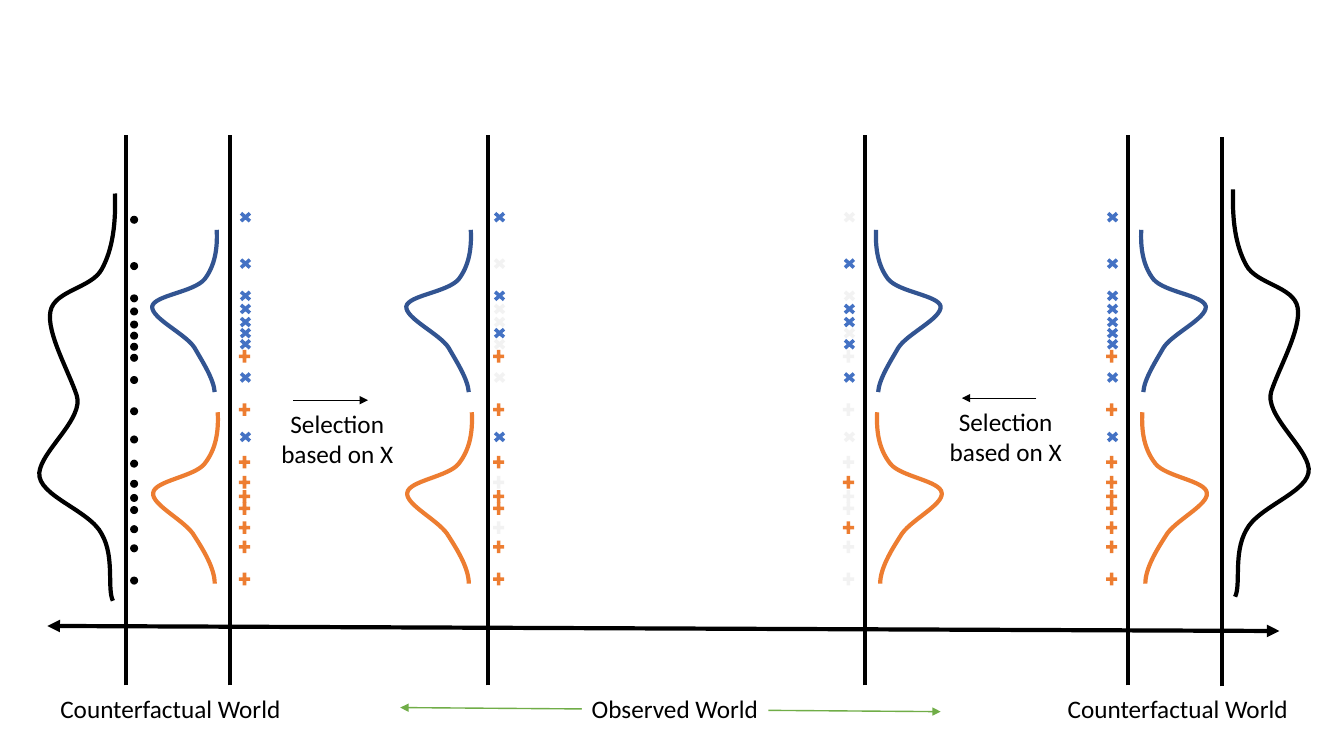
from dataclasses import dataclass

from lxml.etree import SubElement
from pptx import Presentation
from pptx.dml.color import RGBColor
from pptx.enum.shapes import MSO_CONNECTOR, MSO_SHAPE
from pptx.enum.text import MSO_AUTO_SIZE, PP_ALIGN
from pptx.oxml.ns import qn
from pptx.util import Inches, Pt


@dataclass(frozen=True)
class Theme:
    font: str = "Calibri"
    text_size: float = 18
    ink: str = "000000"
    paper: str = "FFFFFF"
    cross: str = "4472C4"
    plus: str = "ED7D31"
    unselected: str = "F2F2F2"
    cross_curve: str = "325491"
    observed: str = "70AD47"
    heavy: float = 3
    medium: float = 1
    thin: float = 0.5


THEME = Theme()

# Cross and plus marks: kind, top, and whether the left-hand selection keeps it.
# The right-hand selection keeps exactly the others.
MARKS = [
    ("cross", 2.54, False), ("cross", 2.99, False), ("cross", 3.12, False),
    ("cross", 3.34, False), ("cross", 3.67, False), ("cross", 4.26, True),
    ("cross", 2.08, True), ("plus", 3.45, True), ("plus", 3.98, True),
    ("plus", 4.5, True), ("plus", 4.7, False), ("plus", 4.84, True),
    ("plus", 5.15, False), ("plus", 5.66, True), ("cross", 2.86, True),
    ("cross", 3.23, True), ("plus", 4.96, True), ("plus", 5.34, True),
]
MARK_STYLES = {
    "cross": (MSO_SHAPE.MATH_MULTIPLY, 0.17, 0.15, THEME.cross),
    "plus": (MSO_SHAPE.MATH_PLUS, 0.15, 0.17, THEME.plus),
}

# Bezier points of each density: distance out from its baseline, drop from its top.
CROSS_DENSITY = [
    (0, 0), (-0.01, 0.19), (0.02, 0.36), (0.12, 0.49), (0.23, 0.62),
    (0.62, 0.65), (0.64, 0.76), (0.65, 0.88), (0.31, 1.03), (0.22, 1.17),
    (0.14, 1.31), (0.03, 1.48), (0.02, 1.61),
]
PLUS_DENSITY = [
    (0, 0), (-0.01, 0.2), (0.02, 0.37), (0.13, 0.51), (0.23, 0.64),
    (0.63, 0.68), (0.64, 0.8), (0.66, 0.92), (0.31, 1.08), (0.23, 1.23),
    (0.14, 1.37), (0.03, 1.55), (0.03, 1.7),
]
WHOLE_DENSITY = [
    (0, 0), (-0.01, 0.29), (0.02, 0.55), (0.13, 0.75), (0.23, 0.94),
    (0.6, 0.96), (0.64, 1.17), (0.68, 1.38), (0.46, 1.76), (0.38, 2),
    (0.3, 2.23), (0.73, 2.55), (0.75, 2.77), (0.77, 3), (0.25, 3.14),
    (0.13, 3.38), (0, 3.61), (0.08, 3.92), (0.02, 4.04),
]


class Diagram:
    def __init__(self, slide, theme):
        self.slide = slide
        self.theme = theme

    def stroke(self, line, color, width):
        line.color.rgb = RGBColor.from_string(color)
        line.width = Pt(width)

    def line(self, start, end, color=THEME.ink, width=THEME.heavy, arrows=()):
        """Draw a straight line; arrows names its headEnd and tailEnd."""
        ends = [Inches(length) for length in (*start, *end)]
        connector = self.slide.shapes.add_connector(MSO_CONNECTOR.STRAIGHT, *ends)
        self.stroke(connector.line, color, width)
        properties = connector.element.spPr
        for arrow in arrows:
            SubElement(properties.find(qn("a:ln")), qn(f"a:{arrow}"), type="triangle")
        SubElement(properties, qn("a:effectLst"))

    def mark(self, preset, left, top, width, height, color):
        shape = self.slide.shapes.add_shape(
            preset, Inches(left), Inches(top), Inches(width), Inches(height))
        shape.shadow.inherit = False
        shape.fill.solid()
        shape.fill.fore_color.rgb = RGBColor.from_string(color)
        shape.line.fill.background()

    def mark_column(self, left, shown=(True, False)):
        """Draw all marks, greying those whose selection flag is not in shown."""
        for kind, top, selected in MARKS:
            preset, width, height, color = MARK_STYLES[kind]
            if selected not in shown:
                color = self.theme.unselected
            self.mark(preset, left, top, width, height, color)

    def density(self, points, baseline, top, direction, color):
        """Draw a Bezier density bulging left (-1) or right (1) of its baseline."""
        start, *rest = [(Inches(baseline + direction * out), Inches(top + drop))
                        for out, drop in points]
        builder = self.slide.shapes.build_freeform(*start)
        builder.add_line_segments(rest, close=False)
        curve = builder.convert_to_shape()
        curve.shadow.inherit = False
        curve.fill.background()
        self.stroke(curve.line, color, self.theme.heavy)
        outline = next(curve.element.iter(qn("a:path")))
        segments = outline.findall(qn("a:lnTo"))
        for first in range(0, len(segments), 3):
            bezier = SubElement(outline, qn("a:cubicBezTo"))
            for segment in segments[first:first + 3]:
                bezier.append(segment[0])
                outline.remove(segment)

    def label(self, text, left, top, width, height, wrap=False,
              align=PP_ALIGN.LEFT, fill=None):
        box = self.slide.shapes.add_textbox(
            Inches(left), Inches(top), Inches(width), Inches(height))
        if fill:
            box.fill.solid()
            box.fill.fore_color.rgb = RGBColor.from_string(fill)
        frame = box.text_frame
        frame.word_wrap = wrap
        frame.auto_size = MSO_AUTO_SIZE.SHAPE_TO_FIT_TEXT
        para = frame.paragraphs[0]
        para.alignment = align
        span = para.add_run()
        span.text = text
        span.font.name = self.theme.font
        span.font.size = Pt(self.theme.text_size)
        span.font.color.rgb = RGBColor.from_string(self.theme.ink)


def main():
    deck = Presentation()
    deck.slide_width, deck.slide_height = Inches(13.33), Inches(7.5)
    page = deck.slides.add_slide(deck.slide_layouts[6])
    diagram = Diagram(page, THEME)
    both_ends = ("headEnd", "tailEnd")

    diagram.line((3.97, 7.02), (9.33, 7.06), color=THEME.observed,
                 width=THEME.medium, arrows=both_ends)
    diagram.line((0.47, 6.21), (12.69, 6.26), arrows=both_ends)
    for x in (1.25, 2.28, 4.84, 8.58, 11.19):
        diagram.line((x, 6.8), (x, 1.34))
    diagram.line((12.12, 6.81), (12.12, 1.36))

    for _, top, _ in MARKS:
        diagram.mark(MSO_SHAPE.OVAL, 1.29, top + 0.06, 0.08, 0.08, THEME.ink)
    diagram.mark_column(2.35)
    diagram.mark_column(4.87, shown=(True,))
    diagram.mark_column(8.34, shown=(False,))
    diagram.mark_column(10.95)

    for baseline, direction in ((2.15, -1), (4.67, -1), (8.69, 1), (11.32, 1)):
        diagram.density(CROSS_DENSITY, baseline, 2.28, direction, THEME.cross_curve)
        diagram.density(PLUS_DENSITY, baseline + 0.01, 4.09, direction, THEME.plus)
    diagram.density(WHOLE_DENSITY, 1.14, 1.92, -1, THEME.ink)
    diagram.density(WHOLE_DENSITY, 12.23, 1.88, 1, THEME.ink)

    for start, end, y, left in ((2.91, 3.65, 3.97, 2.69), (10.28, 9.54, 3.95, 9.32)):
        diagram.line((start, y), (end, y), width=THEME.thin, arrows=("tailEnd",))
        diagram.label("Selection based on X", left, y + 0.03, 1.31, 0.71,
                      wrap=True, align=PP_ALIGN.CENTER)

    for left in (0.5, 10.49):
        diagram.label("Counterfactual World", left, 6.83, 2.41, 0.4)
    diagram.label("Observed World", 5.77, 6.83, 1.85, 0.4, fill=THEME.paper)

    deck.save("out.pptx")


if __name__ == "__main__":
    main()
